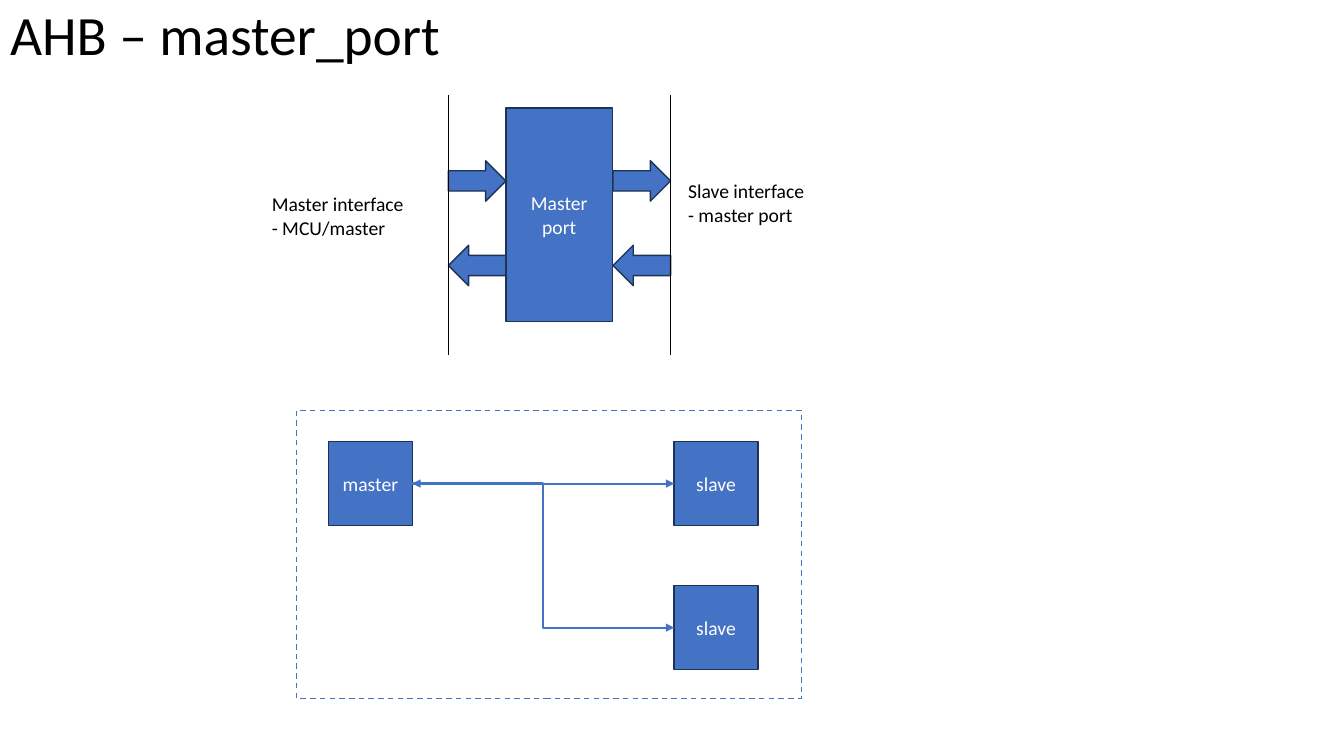
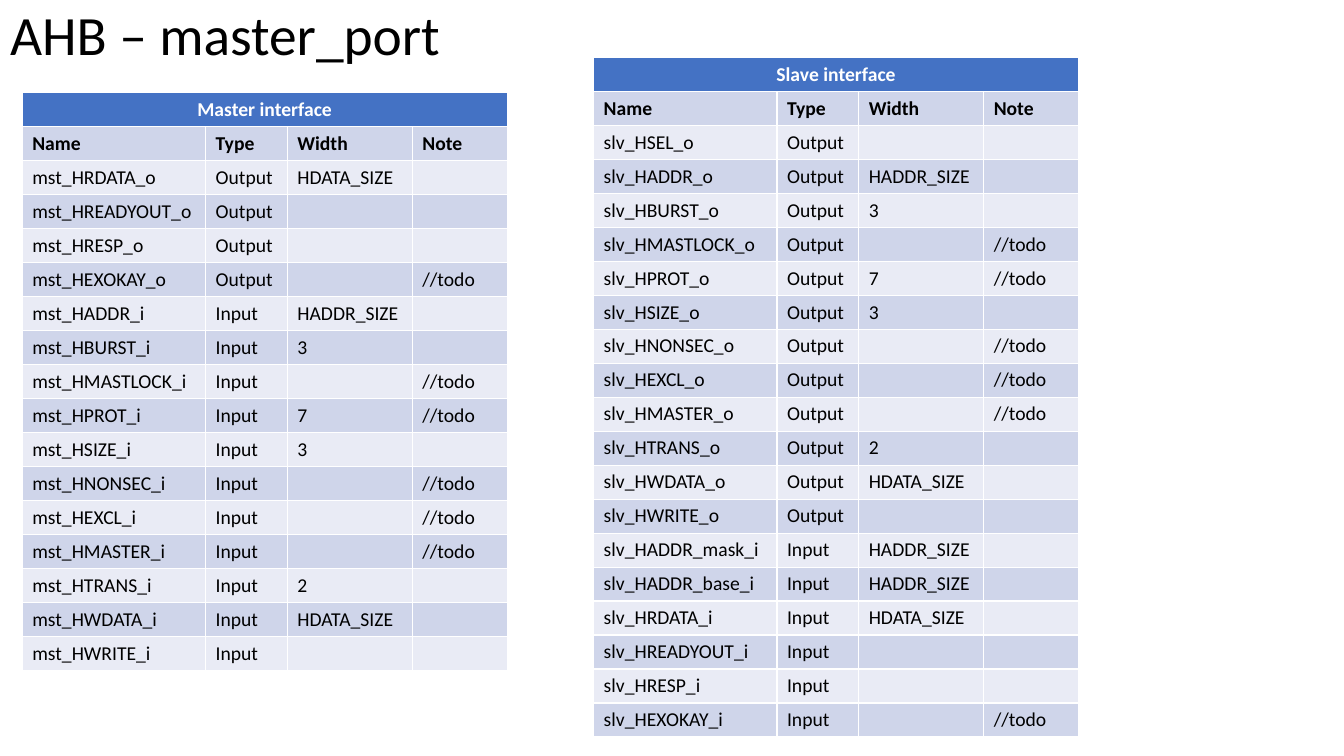
from dataclasses import dataclass

from lxml import etree
from pptx import Presentation
from pptx.dml.color import RGBColor
from pptx.enum.dml import MSO_LINE
from pptx.enum.shapes import MSO_CONNECTOR, MSO_SHAPE
from pptx.enum.text import MSO_ANCHOR, MSO_AUTO_SIZE, PP_ALIGN
from pptx.oxml.ns import qn
from pptx.util import Cm, Pt

RECT, RIGHT_ARROW, LEFT_ARROW = MSO_SHAPE.RECTANGLE, MSO_SHAPE.RIGHT_ARROW, MSO_SHAPE.LEFT_ARROW
STRAIGHT, ELBOW = MSO_CONNECTOR.STRAIGHT, MSO_CONNECTOR.ELBOW
LEFT, CENTER = PP_ALIGN.LEFT, PP_ALIGN.CENTER
MIDDLE = MSO_ANCHOR.MIDDLE
LEFT_SIDE, RIGHT_SIDE = 1, 3


@dataclass(frozen=True)
class Theme:
    font: str = "Calibri"
    title_size: Pt = Pt(39.6)
    body_size: Pt = Pt(14)
    black: RGBColor = RGBColor(0x00, 0x00, 0x00)
    white: RGBColor = RGBColor(0xFF, 0xFF, 0xFF)
    blue: RGBColor = RGBColor(0x44, 0x72, 0xC4)
    outline: RGBColor = RGBColor(0x1E, 0x32, 0x56)
    band_dark: RGBColor = RGBColor(0xCF, 0xD5, 0xEA)
    band_light: RGBColor = RGBColor(0xE9, 0xEB, 0xF5)


theme = Theme()


def write_text(frame, text, color, size=theme.body_size, align=LEFT, bold=False):
    frame.text = text
    for paragraph in frame.paragraphs:
        paragraph.alignment = align
        font = paragraph.font
        font.name, font.size, font.bold = theme.font, size, bold
        font.color.rgb = color


def add_block(slide, kind, left, top, width, height, text=""):
    block = slide.shapes.add_shape(kind, Cm(left), Cm(top), Cm(width), Cm(height))
    block.shadow.inherit = False
    block.fill.solid()
    block.fill.fore_color.rgb = theme.blue
    block.line.color.rgb = theme.outline
    block.line.width = Pt(1)
    if text:
        write_text(block.text_frame, text, theme.white, align=CENTER)
        block.text_frame.vertical_anchor = MIDDLE
    return block


prs = Presentation()
prs.slide_width, prs.slide_height = Cm(33.87), Cm(19.05)

# Both slides carry the same title
diagram_slide, signal_slide = [prs.slides.add_slide(prs.slide_layouts[5]) for _ in range(2)]
for slide in (diagram_slide, signal_slide):
    title = slide.shapes.title
    title.left, title.top, title.width, title.height = 0, 0, prs.slide_width, Cm(1.88)
    write_text(title.text_frame, "AHB – master_port", theme.black, theme.title_size)
    title.text_frame.auto_size = MSO_AUTO_SIZE.NONE
    title.text_frame.vertical_anchor = MIDDLE
    title.text_frame.paragraphs[0].line_spacing = 0.9

# Dashed frame around the bus
bus_frame = add_block(diagram_slide, RECT, 7.47, 10.34, 12.73, 7.26)
bus_frame.fill.background()
bus_frame.line.color.rgb = theme.blue
bus_frame.line.dash_style = MSO_LINE.DASH

# Master port with a signal pair on each side
add_block(diagram_slide, RECT, 12.75, 2.72, 2.69, 5.38, "Master\nport")
for arrow_left in (11.3, 15.45):
    for arrow_kind, arrow_top in ((RIGHT_ARROW, 4.05), (LEFT_ARROW, 6.18)):
        add_block(diagram_slide, arrow_kind, arrow_left, arrow_top, 1.45, 1.02)

# Interface labels
for label, left, top, width in (
    ("Slave interface\n- master port", 17.09, 4.39, 4.65),
    ("Master interface\n- MCU/master", 6.6, 4.72, 5),
):
    label_box = diagram_slide.shapes.add_textbox(Cm(left), Cm(top), Cm(width), Cm(1.45))
    label_box.text_frame.word_wrap = True
    write_text(label_box.text_frame, label, theme.black)

# Bus members
master, upper_slave, lower_slave = [
    add_block(diagram_slide, RECT, left, top, 2.11, 2.11, text)
    for text, left, top in (
        ("master", 8.28, 11.13), ("slave", 16.99, 11.13), ("slave", 16.99, 14.76))
]

# Interface boundaries and bus lines: connector, colour, width, arrowheads
lines = []
for boundary_x in (11.3, 16.89):
    boundary = diagram_slide.shapes.add_connector(
        STRAIGHT, Cm(boundary_x), Cm(2.39), Cm(boundary_x), Cm(8.94))
    lines.append((boundary, theme.black, 1, ()))
for slave, route, arrowheads in (
    (upper_slave, STRAIGHT, ("a:headEnd", "a:tailEnd")),
    (lower_slave, ELBOW, ("a:tailEnd",)),
):
    bus_line = diagram_slide.shapes.add_connector(route, 0, 0, 0, 0)
    bus_line.begin_connect(master, RIGHT_SIDE)
    bus_line.end_connect(slave, LEFT_SIDE)
    lines.append((bus_line, theme.blue, 1.5, arrowheads))
for connector, color, width, arrowheads in lines:
    connector.line.color.rgb = color
    connector.line.width = Pt(width)
    for arrowhead in arrowheads:
        etree.SubElement(connector.line._get_or_add_ln(), qn(arrowhead), type="triangle")
    etree.SubElement(connector._element.spPr, qn("a:effectLst"))

# Signals: name, width, note; the suffix of the name gives the direction
directions = {"o": "Output", "i": "Input"}
master_signals = (
    ("mst_HRDATA_o", "HDATA_SIZE", ""),
    ("mst_HREADYOUT_o", "", ""),
    ("mst_HRESP_o", "", ""),
    ("mst_HEXOKAY_o", "", "//todo"),
    ("mst_HADDR_i", "HADDR_SIZE", ""),
    ("mst_HBURST_i", "3", ""),
    ("mst_HMASTLOCK_i", "", "//todo"),
    ("mst_HPROT_i", "7", "//todo"),
    ("mst_HSIZE_i", "3", ""),
    ("mst_HNONSEC_i", "", "//todo"),
    ("mst_HEXCL_i", "", "//todo"),
    ("mst_HMASTER_i", "", "//todo"),
    ("mst_HTRANS_i", "2", ""),
    ("mst_HWDATA_i", "HDATA_SIZE", ""),
    ("mst_HWRITE_i", "", ""),
)
slave_signals = (
    ("slv_HSEL_o", "", ""),
    ("slv_HADDR_o", "HADDR_SIZE", ""),
    ("slv_HBURST_o", "3", ""),
    ("slv_HMASTLOCK_o", "", "//todo"),
    ("slv_HPROT_o", "7", "//todo"),
    ("slv_HSIZE_o", "3", ""),
    ("slv_HNONSEC_o", "", "//todo"),
    ("slv_HEXCL_o", "", "//todo"),
    ("slv_HMASTER_o", "", "//todo"),
    ("slv_HTRANS_o", "2", ""),
    ("slv_HWDATA_o", "HDATA_SIZE", ""),
    ("slv_HWRITE_o", "", ""),
    ("slv_HADDR_mask_i", "HADDR_SIZE", ""),
    ("slv_HADDR_base_i", "HADDR_SIZE", ""),
    ("slv_HRDATA_i", "HDATA_SIZE", ""),
    ("slv_HREADYOUT_i", "", ""),
    ("slv_HRESP_i", "", ""),
    ("slv_HEXOKAY_i", "", "//todo"),
)

# Signal tables; the default table style supplies the white borders
column_widths = (4.62, 2.06, 3.15, 2.39)
row_height = 0.85
for heading, signals, left, top in (
    ("Master interface", master_signals, 0.56, 2.34),
    ("Slave interface", slave_signals, 14.96, 1.45),
):
    rows = [(heading, "", "", ""), ("Name", "Type", "Width", "Note")]
    rows += [(name, directions[name[-1]], width, note) for name, width, note in signals]
    table = signal_slide.shapes.add_table(
        len(rows), len(column_widths), Cm(left), Cm(top),
        Cm(sum(column_widths)), Cm(row_height * len(rows))).table
    for column, width in zip(table.columns, column_widths):
        column.width = Cm(width)
    table.cell(0, 0).merge(table.cell(0, len(column_widths) - 1))
    for row_index, row in enumerate(rows):
        is_heading = row_index == 0
        band = theme.band_dark if row_index % 2 else theme.band_light
        for column_index, text in enumerate(row):
            cell = table.cell(row_index, column_index)
            cell.fill.solid()
            cell.fill.fore_color.rgb = theme.blue if is_heading else band
            write_text(cell.text_frame, text, theme.white if is_heading else theme.black,
                       align=CENTER if is_heading else LEFT, bold=row_index < 2)
            if not text:  # keeps empty cells from stretching the row
                etree.SubElement(cell.text_frame.paragraphs[0]._p, qn("a:endParaRPr"),
                                 sz=str(int(theme.body_size.pt * 100)))

prs.save("out.pptx")
